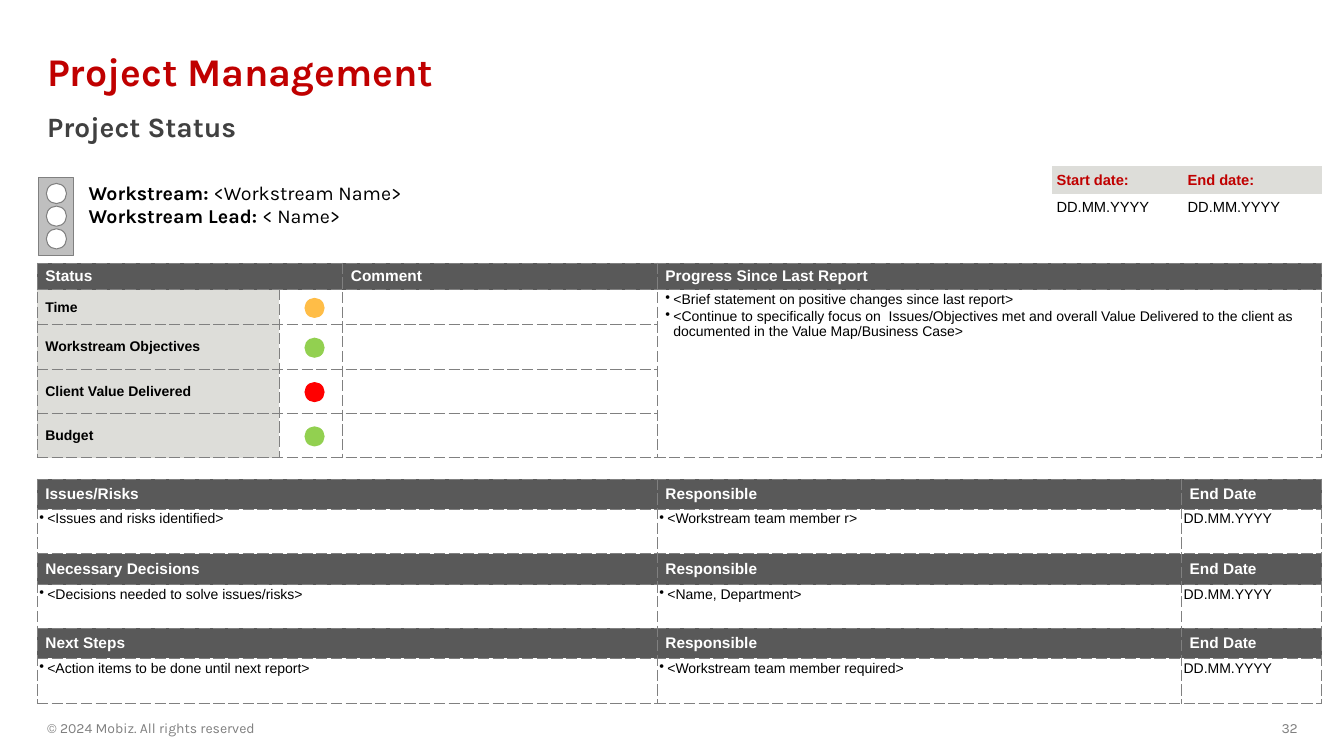
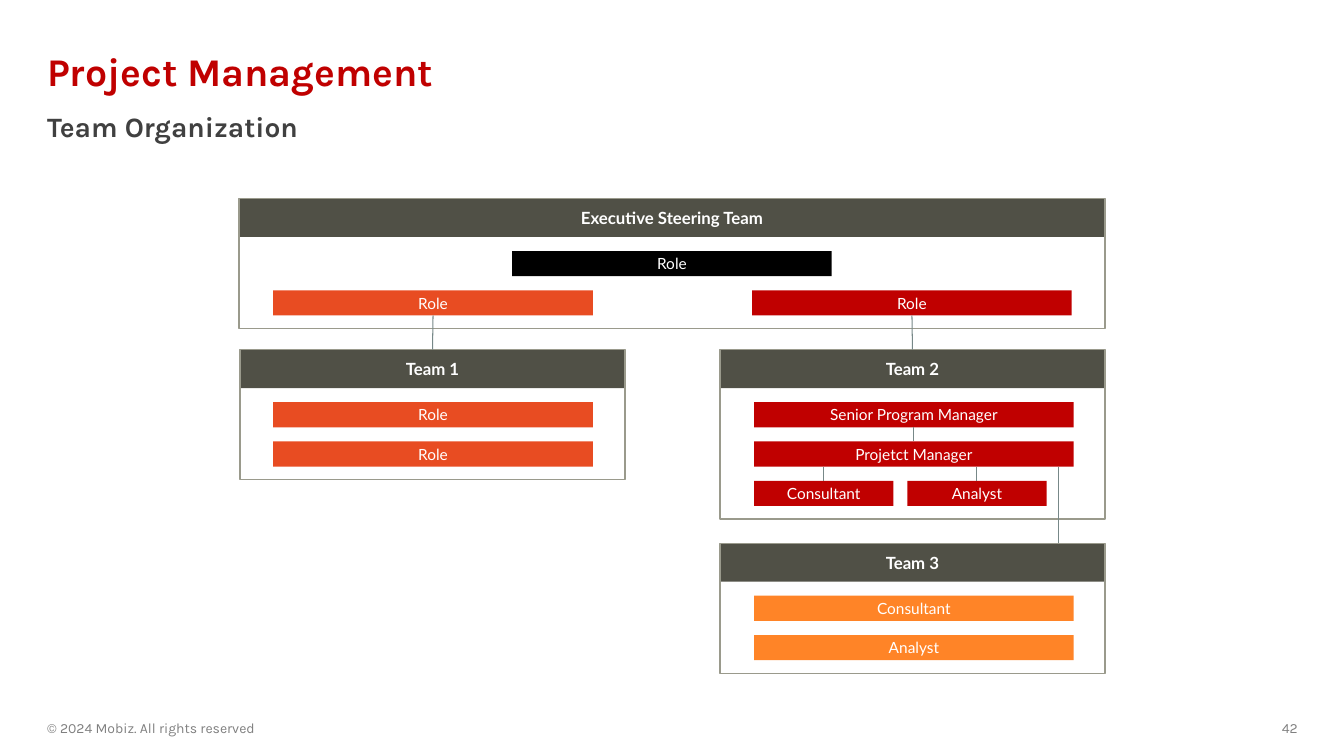
from lxml import etree
from pptx import Presentation
from pptx.dml.color import RGBColor
from pptx.enum import shapes, text
from pptx.oxml import ns
from pptx.util import Inches, Pt

RED = RGBColor(0xC0, 0x00, 0x00)
VERMILION = RGBColor(0xE8, 0x4C, 0x22)
ORANGE = RGBColor(0xFF, 0x84, 0x27)
BLACK = RGBColor(0x00, 0x00, 0x00)
WHITE = RGBColor(0xFF, 0xFF, 0xFF)
CHARCOAL = RGBColor(0x40, 0x40, 0x40)
GRAY = RGBColor(0x80, 0x80, 0x80)
SILVER = RGBColor(0xBF, 0xBF, 0xBF)
HEADER_GRAY = RGBColor(0x59, 0x59, 0x59)
LABEL_GRAY = RGBColor(0xDD, 0xDD, 0xD9)
TEAM_OLIVE = RGBColor(0x50, 0x50, 0x46)
OUTLINE_OLIVE = RGBColor(0x9A, 0x9A, 0x8C)
LINK_GRAY = RGBColor(0x77, 0x88, 0x88)
STATUS_AMBER = RGBColor(0xFF, 0xBD, 0x47)
STATUS_GREEN = RGBColor(0x92, 0xD0, 0x50)
STATUS_RED = RGBColor(0xFF, 0x00, 0x00)

TOP, MIDDLE = text.MSO_ANCHOR.TOP, text.MSO_ANCHOR.MIDDLE
CENTER, RIGHT = text.PP_ALIGN.CENTER, text.PP_ALIGN.RIGHT
RECT, OVAL = shapes.MSO_SHAPE.RECTANGLE, shapes.MSO_SHAPE.OVAL
NO_GRID_STYLE = "{2D5ABB26-0587-4C30-8999-92F81FD0307C}"


def look(name, size, color, bold=False):
    return {"name": name, "size": Pt(size), "bold": bold}, color


TITLE = look("Karla", 28, RED, True)
SUBTITLE = look("Karla", 20, CHARCOAL, True)
FOOTER = look("Karla", 10, GRAY)
LEAD_LABEL = look("Karla", 14, BLACK, True)
LEAD_VALUE = look("Karla", 14, BLACK)
TABLE_HEADER = look("Arial", 11, WHITE, True)
TABLE_LABEL = look("Arial", 10, BLACK, True)
TABLE_BODY = look("Arial", 10, BLACK)
DATE_HEADER = look("Arial", 10.5, RED, True)
DATE_BODY = look("Arial", 10.5, BLACK)
TEAM_NAME = look("Lato", 12, WHITE, True)
ROLE_NAME = look("Lato", 11, WHITE)

HEADER_INSETS = (0.08, 0.04, 0.04, 0.04)
LABEL_INSETS = (0.08, 0.02, 0.02, 0.02)
ITEM_INSETS = (0.02, 0.02, 0.02, 0.02)
DATE_INSETS = (0.05, 0.05, 0, 0.05)

PANEL_WIDTH, HEADER_HEIGHT = 3.82, 0.38
BAR_WIDTH, BAR_HEIGHT = 3.17, 0.25
FIRST_BAR, BAR_PITCH = 0.52, 0.39


def apply(target, values):
    for name, value in values.items():
        setattr(target, name, value)


def inset_values(insets):
    sides = ("left", "top", "right", "bottom")
    return {f"margin_{side}": Inches(inset) for side, inset in zip(sides, insets)}


def add_run(paragraph, words, style):
    values, color = style
    run = paragraph.add_run()
    run.text = words
    apply(run.font, values)
    run.font.color.rgb = color


def add_bullet(paragraph):
    properties = paragraph._p.get_or_add_pPr()
    properties.set("marL", str(Inches(0.08)))
    properties.set("indent", str(-Inches(0.08)))
    etree.SubElement(properties, ns.qn("a:buChar")).set("char", "•")


def write(frame, lines, style, align=None, bullet=False, line_spacing=None):
    for index, words in enumerate(lines):
        paragraph = frame.add_paragraph() if index else frame.paragraphs[0]
        apply(paragraph, {"alignment": align, "line_spacing": line_spacing})
        if index and bullet:
            paragraph.space_before = Pt(1)
        if bullet:
            add_bullet(paragraph)
        add_run(paragraph, words, style)


def add_text(slide, box, lines, style, anchor=TOP, insets=None, **options):
    frame = slide.shapes.add_textbox(*map(Inches, box)).text_frame
    apply(frame, {"word_wrap": True, "vertical_anchor": anchor})
    if insets:
        apply(frame, inset_values(insets))
    write(frame, lines, style, **options)
    return frame


def add_figure(slide, kind, box, fill=None, outline=None, weight=0.75):
    figure = slide.shapes.add_shape(kind, *map(Inches, box))
    figure.shadow.inherit = False
    if fill is None:
        figure.fill.background()
    else:
        figure.fill.solid()
        figure.fill.fore_color.rgb = fill
    if outline is None:
        figure.line.fill.background()
    else:
        figure.line.color.rgb = outline
        figure.line.width = Pt(weight)
    return figure


def add_label_bar(slide, box, label, fill, style):
    bar = add_figure(slide, RECT, box, fill)
    apply(bar.text_frame, {"word_wrap": False, "vertical_anchor": MIDDLE})
    apply(bar.text_frame, inset_values((0.05,) * 4))
    write(bar.text_frame, [label], style, CENTER)
    return bar


def add_link(slide, start, end, upper=None, lower=None):
    link = slide.shapes.add_connector(
        shapes.MSO_CONNECTOR.STRAIGHT, *map(Inches, start + end))
    if upper is not None:
        link.begin_connect(upper, 2)
    if lower is not None:
        link.end_connect(lower, 0)
    link.line.color.rgb = LINK_GRAY
    link.line.width = Pt(0.75)
    etree.SubElement(link._element.spPr, ns.qn("a:effectLst"))


def add_grid(slide, left, top, widths, heights):
    box = (left, top, sum(widths), sum(heights))
    grid = slide.shapes.add_table(
        len(heights), len(widths), *map(Inches, box)).table
    apply(grid, {"first_row": False, "horz_banding": False})
    grid._tbl.tblPr.find(ns.qn("a:tableStyleId")).text = NO_GRID_STYLE
    for column, width in zip(grid.columns, widths):
        column.width = Inches(width)
    for row, height in zip(grid.rows, heights):
        row.height = Inches(height)
    return grid


def prepare_cell(cell, edges):
    properties = cell._tc.get_or_add_tcPr()
    for edge in edges:
        border = etree.SubElement(properties, ns.qn(f"a:ln{edge}"), w=str(Pt(0.75)))
        solid = etree.SubElement(border, ns.qn("a:solidFill"))
        etree.SubElement(solid, ns.qn("a:srgbClr"), val=str(GRAY))
        etree.SubElement(border, ns.qn("a:prstDash"), val="sysDash")
    apply(cell, inset_values(ITEM_INSETS))
    cell.fill.background()
    cell.text_frame.paragraphs[0]._p.get_or_add_endParaRPr().set("sz", "1000")


def fill_cell(cell, lines, style, insets, fill=None, anchor=MIDDLE, bullet=False):
    apply(cell, inset_values(insets))
    cell.vertical_anchor = anchor
    if fill is not None:
        cell.fill.solid()
        cell.fill.fore_color.rgb = fill
    write(cell.text_frame, lines, style, bullet=bullet)


def add_page(deck, subtitle, number):
    slide = deck.slides.add_slide(deck.slide_layouts[6])
    add_text(slide, (0.37, 0.4, 12.6, 0.67), ["Project Management"], TITLE,
             MIDDLE, line_spacing=0.9)
    add_text(slide, (0.37, 1.08, 12.6, 0.47), [subtitle], SUBTITLE, line_spacing=0.9)
    add_text(slide, (0.37, 7.1, 4.5, 0.25), ["© 2024 Mobiz. All rights reserved"],
             FOOTER, MIDDLE)
    add_text(slide, (11.75, 7.1, 1.22, 0.25), [number], FOOTER, MIDDLE, align=RIGHT)
    return slide


def add_workstream(slide):
    lead = add_text(slide, (0.88, 1.79, 5.84, 0.72),
                    ["Workstream: ", "Workstream Lead: "], LEAD_LABEL, insets=(0,) * 4)
    for paragraph, value in zip(lead.paragraphs, ("<Workstream Name>", "< Name>")):
        add_run(paragraph, value, LEAD_VALUE)
    add_figure(slide, RECT, (0.38, 1.76, 0.35, 0.78), SILVER, GRAY)
    for lamp in range(3):
        add_figure(slide, OVAL, (0.46, 1.82 + 0.225 * lamp, 0.2, 0.2), WHITE, GRAY)


def add_dates(slide):
    dates = add_grid(slide, 10.43, 1.65, (1.3, 1.38), (0.25, 0.25))
    for column, heading in enumerate(("Start date:", "End date:")):
        fill_cell(dates.cell(0, column), [heading], DATE_HEADER, DATE_INSETS, LABEL_GRAY)
        fill_cell(dates.cell(1, column), ["DD.MM.YYYY"], DATE_BODY, DATE_INSETS,
                  anchor=TOP)


def add_report(slide):
    top = 2.61
    heights = (0.26, 0.35, 0.44, 0.44, 0.44, 0.21, 0.3, 0.44, 0.31, 0.43, 0.3, 0.45)
    gap_row = 5
    report = add_grid(slide, 0.37, top, (2.4, 0.63, 3.12, 5.2, 1.39), heights)
    for row in range(len(heights)):
        for column in range(5):
            prepare_cell(report.cell(row, column), "TB" if row == gap_row else "LRTB")
    for first, last in [((0, 0), (0, 1)), ((0, 3), (0, 4)), ((1, 3), (4, 4))]:
        report.cell(*first).merge(report.cell(*last))
    for row in range(gap_row, len(heights)):
        report.cell(row, 0).merge(report.cell(row, 2))

    for column, heading in ((0, "Status"), (2, "Comment"),
                            (3, "Progress Since Last Report")):
        fill_cell(report.cell(0, column), [heading], TABLE_HEADER, HEADER_INSETS,
                  HEADER_GRAY)
    fill_cell(report.cell(1, 3), [
        "<Brief statement on positive changes since last report>",
        "<Continue to specifically focus on  Issues/Objectives met and overall Value "
        "Delivered to the client as documented in the Value Map/Business Case>",
    ], TABLE_BODY, LABEL_INSETS, anchor=TOP, bullet=True)

    statuses = [("Time", STATUS_AMBER), ("Workstream Objectives", STATUS_GREEN),
                ("Client Value Delivered", STATUS_RED), ("Budget", STATUS_GREEN)]
    for row, (label, color) in enumerate(statuses, 1):
        fill_cell(report.cell(row, 0), [label], TABLE_LABEL, LABEL_INSETS, LABEL_GRAY)
        middle = top + sum(heights[:row]) + heights[row] / 2
        add_figure(slide, OVAL, (3.02, middle - 0.09, 0.2, 0.2), color)

    sections = [
        ("Issues/Risks", "<Issues and risks identified>", "<Workstream team member r>"),
        ("Necessary Decisions", "<Decisions needed to solve issues/risks>",
         "<Name, Department>"),
        ("Next Steps", "<Action items to be done until next report>",
         "<Workstream team member required>"),
    ]
    for index, (heading, item, owner) in enumerate(sections):
        row = gap_row + 1 + 2 * index
        columns = ((0, heading, item), (3, "Responsible", owner),
                   (4, "End Date", "DD.MM.YYYY"))
        for column, name, entry in columns:
            fill_cell(report.cell(row, column), [name], TABLE_HEADER, LABEL_INSETS,
                      HEADER_GRAY)
            fill_cell(report.cell(row + 1, column), [entry], TABLE_BODY, ITEM_INSETS,
                      anchor=TOP, bullet=column < 4)


def add_team(slide, left, top, name, levels, width=PANEL_WIDTH):
    header = add_label_bar(slide, (left, top, width, HEADER_HEIGHT), name, TEAM_OLIVE,
                           TEAM_NAME)
    height = FIRST_BAR - 0.01 + BAR_PITCH * levels
    add_figure(slide, RECT, (left, top, width, height), None, OUTLINE_OLIVE, 1)
    return header


def add_role(slide, left, team_top, level, name, color, width=BAR_WIDTH):
    top = team_top + FIRST_BAR + BAR_PITCH * level
    return add_label_bar(slide, (left, top, width, BAR_HEIGHT), name, color, ROLE_NAME)


def add_organization(slide):
    steering_top, team_top, third_top = 1.97, 3.47, 5.39
    left_bar, right_bar = 2.71, 7.48
    add_team(slide, 2.37, steering_top, "Executive Steering Team", 2, 8.59)
    add_role(slide, 5.08, steering_top, 0, "Role", BLACK)
    left_sponsor = add_role(slide, left_bar, steering_top, 1, "Role", VERMILION)
    right_sponsor = add_role(slide, 7.46, steering_top, 1, "Role", RED)

    team_one = add_team(slide, 2.38, team_top, "Team 1", 2)
    team_two = add_team(slide, 7.14, team_top, "Team 2", 3)
    add_team(slide, 7.14, third_top, "Team 3", 2)
    for level in range(2):
        add_role(slide, left_bar, team_top, level, "Role", VERMILION)
    for level, name in enumerate(("Consultant", "Analyst")):
        add_role(slide, right_bar, third_top, level, name, ORANGE)

    program = add_role(slide, right_bar, team_top, 0, "Senior Program Manager", RED)
    project = add_role(slide, right_bar, team_top, 1, "Projetct Manager", RED)
    consultant = add_role(slide, right_bar, team_top, 2, "Consultant", RED, 1.38)
    analyst = add_role(slide, 9, team_top, 2, "Analyst", RED, 1.38)

    add_link(slide, (4.3, 3.13), (4.3, 3.47), left_sponsor, team_one)
    add_link(slide, (9.05, 3.13), (9.05, 3.47), right_sponsor, team_two)
    add_link(slide, (9.07, 4.24), (9.07, 4.38), program, project)
    add_link(slide, (8.17, 4.63), (8.17, 4.77), lower=consultant)
    add_link(slide, (9.69, 4.63), (9.69, 4.77), lower=analyst)
    add_link(slide, (10.5, 4.63), (10.5, third_top))


def main():
    deck = Presentation()
    apply(deck, {"slide_width": Inches(13.33), "slide_height": Inches(7.5)})
    status = add_page(deck, "Project Status", "32")
    add_workstream(status)
    add_dates(status)
    add_report(status)
    add_organization(add_page(deck, "Team Organization", "42"))
    deck.save("out.pptx")


if __name__ == "__main__":
    main()
